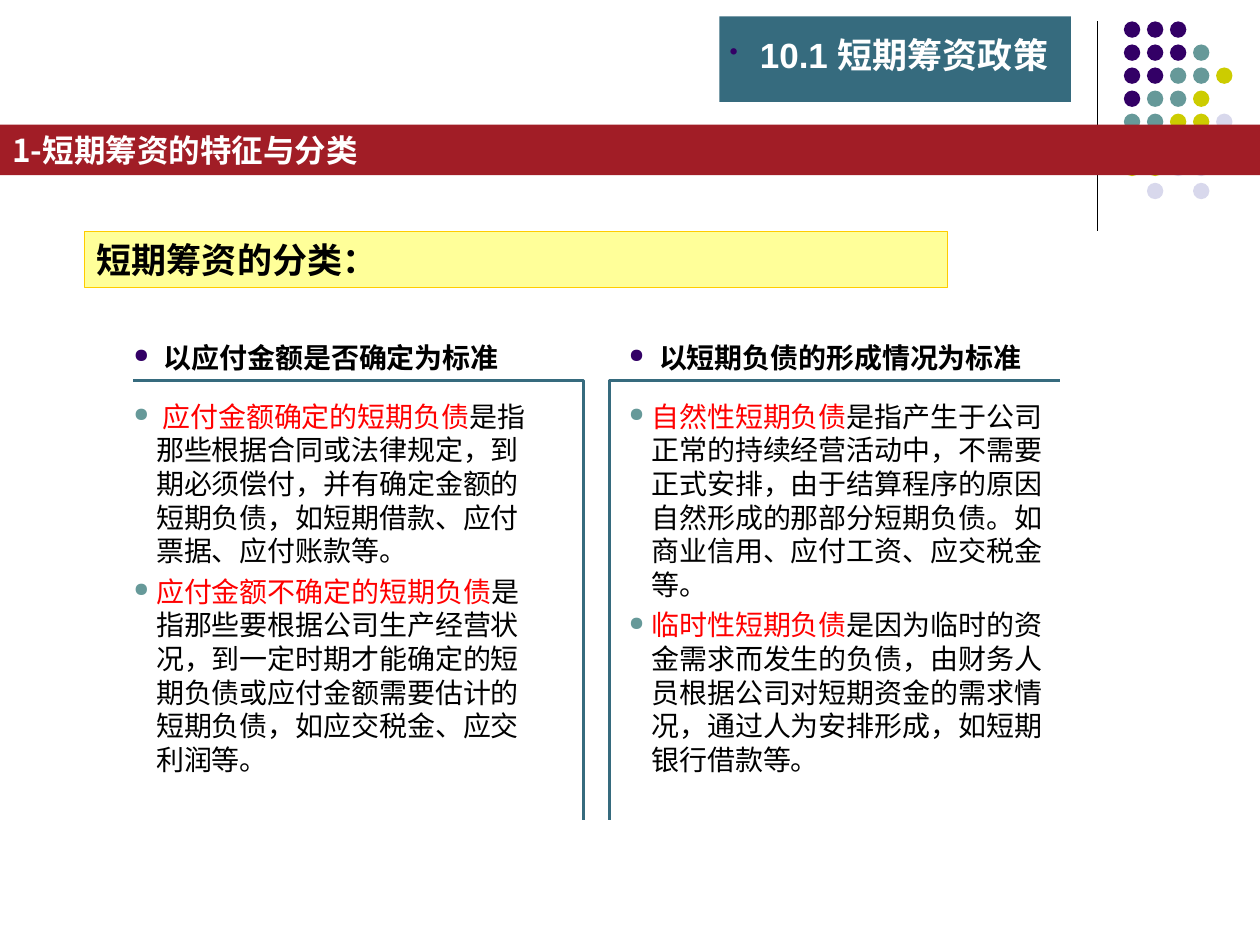
import pptx
import pptx.util
import pptx.dml.color
import pptx.enum.shapes
import pptx.enum.text
import pptx.oxml.ns
import lxml.etree

Inches = pptx.util.Inches
Pt = pptx.util.Pt
ShapeKind = pptx.enum.shapes.MSO_SHAPE
Anchor = pptx.enum.text.MSO_ANCHOR

TEAL = "366B7E"
PURPLE = "330066"
SAGE = "669999"
BLACK = "000000"
RED = "FF0000"
WHITE = "FFFFFF"
DOT_COLOURS = {"P": PURPLE, "S": SAGE, "Y": "CCCC00", "L": "D8D8EC"}
DOT_ROWS = ["PPP", "PPPS", "PPSSY", "PSSY", "SSYYL", "", "YYLL", " L L"]

COLUMNS = [
    {
        "left": 1.06, "width": 3.12, "frame": [(1.06, 3.02), (4.63, 3.02), (4.63, 6.51)],
        "heading": "以应付金额是否确定为标准",
        "items": [
            [(" ", BLACK), ("应付金额确定的短期负债", RED),
             ("是指那些根据合同或法律规定，到期必须偿付，并有确定金额的短期负债，如短期借款、应付票据、应付账款等。", BLACK)],
            [("应付金额不确定的短期负债", RED),
             ("是指那些要根据公司生产经营状况，到一定时期才能确定的短期负债或应付金额需要估计的短期负债，如应交税金、应交利润等。", BLACK)],
        ],
    },
    {
        "left": 4.99, "width": 3.39, "frame": [(8.41, 3.02), (4.84, 3.02), (4.84, 6.51)],
        "heading": "以短期负债的形成情况为标准",
        "items": [
            [("自然性短期负债", RED),
             ("是指产生于公司正常的持续经营活动中，不需要正式安排，由于结算程序的原因自然形成的那部分短期负债。如商业信用、应付工资、应交税金等。", BLACK)],
            [("临时性短期负债", RED),
             ("是因为临时的资金需求而发生的负债，由财务人员根据公司对短期资金的需求情况，通过人为安排形成，如短期银行借款等。", BLACK)],
        ],
    },
]


def colour(value):
    return pptx.dml.color.RGBColor.from_string(value)


def add_shape(page, kind, box, fill, line=None):
    shape = page.shapes.add_shape(kind, *map(Inches, box))
    shape.shadow.inherit = False
    shape.fill.solid()
    shape.fill.fore_color.rgb = colour(fill)
    if line:
        shape.line.color.rgb = colour(line)
        shape.line.width = Pt(0.75)
    else:
        shape.line.fill.background()
    return shape


def set_frame(frame, anchor, horizontal=0, vertical=0):
    frame.word_wrap = True
    frame.auto_size = pptx.enum.text.MSO_AUTO_SIZE.NONE
    frame.vertical_anchor = anchor
    frame.margin_left = frame.margin_right = Inches(horizontal)
    frame.margin_top = frame.margin_bottom = Inches(vertical)


def write(para, spans, size, bold=False, font="Arial"):
    para.alignment = pptx.enum.text.PP_ALIGN.LEFT
    for text, hue in spans:
        span = para.add_run()
        span.text = text
        span.font.size = Pt(size)
        span.font.bold = bold
        span.font.name = font
        span.font.color.rgb = colour(hue)


def add_bullet(para, symbol, hue, indent, before):
    para.space_before = Pt(before)
    properties = para._p.get_or_add_pPr()
    properties.set("marL", str(Inches(indent)))
    properties.set("indent", str(-Inches(indent)))
    qualify = pptx.oxml.ns.qn
    tint = lxml.etree.SubElement(properties, qualify("a:buClr"))
    lxml.etree.SubElement(tint, qualify("a:srgbClr"), val=hue)
    lxml.etree.SubElement(properties, qualify("a:buSzPct"), val="70000")
    lxml.etree.SubElement(properties, qualify("a:buChar"), char=symbol)


def add_ornament(page, left, top, step, size):
    line = page.shapes.add_connector(
        pptx.enum.shapes.MSO_CONNECTOR.STRAIGHT,
        Inches(left - 0.21), Inches(top), Inches(left - 0.21), Inches(top + 1.66))
    line.line.color.rgb = colour(BLACK)
    line.line.width = Pt(0.75)
    lxml.etree.SubElement(line._element.spPr, pptx.oxml.ns.qn("a:effectLst"))
    for row, marks in enumerate(DOT_ROWS):
        for column, mark in enumerate(marks):
            if mark in DOT_COLOURS:
                box = (left + column * step, top + row * step, size, size)
                add_shape(page, ShapeKind.OVAL, box, DOT_COLOURS[mark])


def add_title(page, box):
    left, top, width, height = box
    panel = add_shape(page, ShapeKind.RECTANGLE, box, TEAL)
    title = page.shapes.title
    panel._element.addnext(title._element)
    title.left, title.top = Inches(left + 0.08), Inches(top + 0.14)
    title.width, title.height = Inches(width - 0.04), Inches(height - 0.35)
    set_frame(title.text_frame, Anchor.MIDDLE)
    para = title.text_frame.paragraphs[0]
    write(para, [("10.1 短期筹资政策", WHITE)], 20, True)
    add_bullet(para, "•", PURPLE, 0.24, 5)


def add_banner(page, box, text, size, font, hue, fill, line=None):
    banner = add_shape(page, ShapeKind.RECTANGLE, box, fill, line)
    set_frame(banner.text_frame, Anchor.MIDDLE, 0.1, 0.05)
    write(banner.text_frame.paragraphs[0], [(text, hue)], size, True, font)


def add_text(page, box, anchor):
    shape = page.shapes.add_textbox(*map(Inches, box))
    set_frame(shape.text_frame, anchor)
    return shape.text_frame


def add_column(page, column):
    left, width = column["left"], column["width"]
    body = add_text(page, (left, 3.17, width, 2.99), Anchor.TOP)
    for index, spans in enumerate(column["items"]):
        para = body.add_paragraph() if index else body.paragraphs[0]
        para.level = 1
        write(para, spans, 16)
        add_bullet(para, "●", SAGE, 0.18, 4)

    heading = add_text(page, (left, 2.7, width, 0.27), Anchor.MIDDLE).paragraphs[0]
    write(heading, [(column["heading"], BLACK)], 16, True)
    add_bullet(heading, "●", PURPLE, 0.24, 4)

    start, *rest = [(Inches(x), Inches(y)) for x, y in column["frame"]]
    builder = page.shapes.build_freeform(*start)
    builder.add_line_segments(rest, close=False)
    frame = builder.convert_to_shape()
    frame.shadow.inherit = False
    frame.fill.background()
    frame.line.color.rgb = colour(TEAL)
    frame.line.width = Pt(1.75)


def main():
    deck = pptx.Presentation()
    deck.slide_width, deck.slide_height = Inches(10), Inches(7.5)
    page = deck.slides.add_slide(deck.slide_layouts.get_by_name("Title Only"))
    add_ornament(page, 8.92, 0.17, 0.183, 0.13)
    add_title(page, (5.71, 0.13, 2.79, 0.68))
    add_banner(page, (0, 0.99, 10, 0.4), "1-短期筹资的特征与分类", 18,
               "Noto Sans CJK SC", WHITE, "A11D26")
    for column in COLUMNS:
        add_column(page, column)
    add_banner(page, (0.67, 1.84, 6.85, 0.44), "短期筹资的分类：", 20,
               "Arial", BLACK, "FFFF99", "FFCC00")
    deck.save("out.pptx")


if __name__ == "__main__":
    main()
